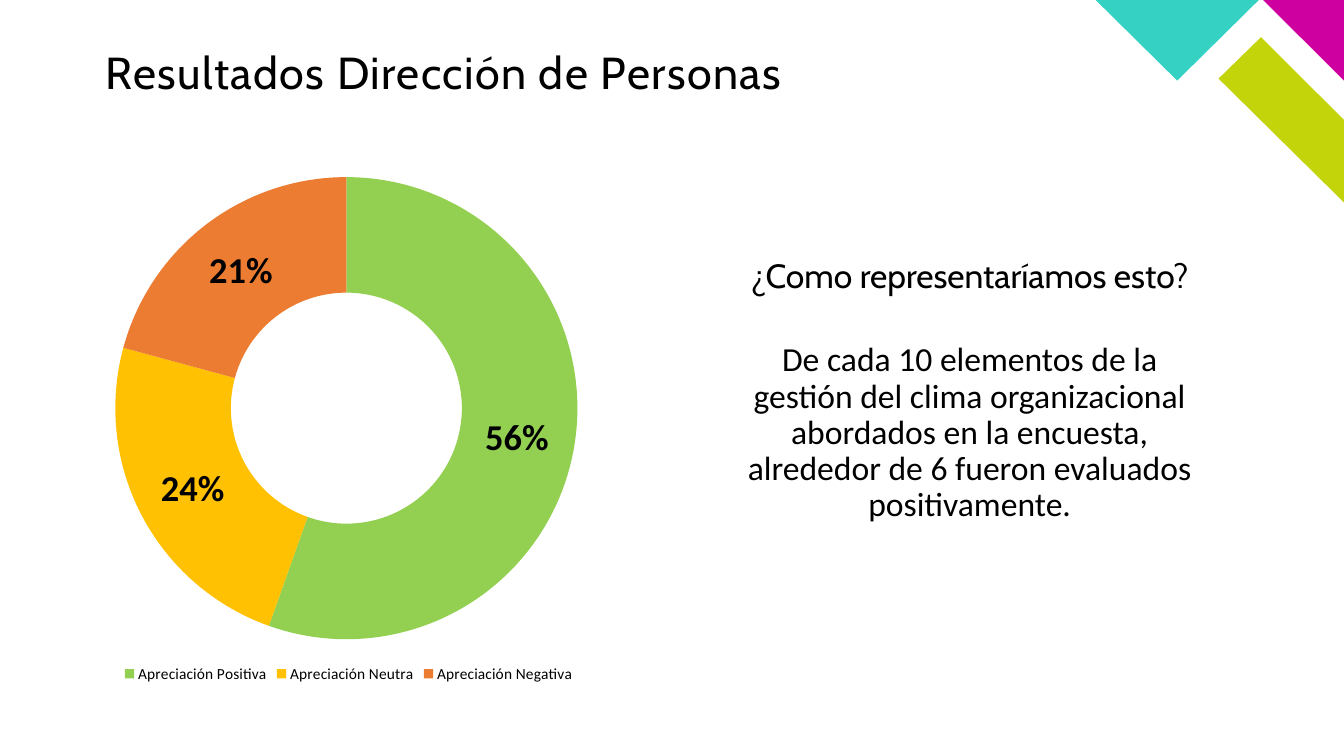
from pptx import Presentation
from pptx.chart.data import CategoryChartData
from pptx.dml.color import RGBColor
from pptx.enum.chart import XL_CHART_TYPE as ChartType, XL_LEGEND_POSITION as LegendPosition
from pptx.enum.text import MSO_ANCHOR as Anchor, PP_ALIGN as Align
from pptx.util import Pt

COLORS = {
    "text": "000000",
    "lime": "C4D40A",
    "magenta": "CE009F",
    "teal": "35D2C4",
    "positive": "93D051",
    "neutral": "FFC101",
    "negative": "EC7C31",
}
RESULTS = [
    ("Apreciación Positiva", 0.56, "positive"),
    ("Apreciación Neutra", 0.24, "neutral"),
    ("Apreciación Negativa", 0.21, "negative"),
]


def color(name):
    return RGBColor.from_string(COLORS[name])


def style_font(font, size, bold=False, name="Calibri"):
    font.name, font.size, font.bold = name, Pt(size), bold
    font.color.rgb = color("text")


def add_text(slide, box, text, *, size=24, font="Calibri", align=Align.CENTER,
             anchor=Anchor.MIDDLE, inset=(7.2, 3.6), spacing=None):
    shape = slide.shapes.add_textbox(*map(Pt, box))
    frame = shape.text_frame
    frame.word_wrap = True
    frame.vertical_anchor = anchor
    frame.margin_left = frame.margin_right = Pt(inset[0])
    frame.margin_top = frame.margin_bottom = Pt(inset[1])
    paragraph = frame.paragraphs[0]
    paragraph.alignment = align
    paragraph.line_spacing = 0.9
    run = paragraph.add_run()
    run.text = text
    style_font(run.font, size, name=font)
    if spacing:
        run.font._element.set("spc", str(spacing * 100))


def add_corner(slide, box):
    left, top, width, height = box
    pieces = {
        "lime": [(width, height), (width, 85.7), (118.1, 26.6), (87.8, 56.2)],
        "magenta": [(width, 57.6), (width, 0), (119.6, 0)],
        "teal": [(0, 0), (58.3, 57.6), (116.6, 0)],
    }
    for name, corners in pieces.items():
        points = [(Pt(left + x), Pt(top + y)) for x, y in corners]
        builder = slide.shapes.build_freeform(*points[0])
        builder.add_line_segments(points[1:], close=True)
        piece = builder.convert_to_shape()
        piece.shadow.inherit = False
        piece.fill.solid()
        piece.fill.fore_color.rgb = color(name)
        piece.line.fill.background()


def add_results_chart(slide, box):
    data = CategoryChartData(number_format="0%")
    data.categories = [category for category, _, _ in RESULTS]
    data.add_series("Series 1", [value for _, value, _ in RESULTS])
    chart = slide.shapes.add_chart(ChartType.DOUGHNUT, *map(Pt, box), data).chart
    chart.has_title = False
    style_font(chart.font, 18)

    # Legend
    chart.has_legend = True
    chart.legend.position = LegendPosition.BOTTOM
    chart.legend.include_in_layout = False
    style_font(chart.legend.font, 11)

    # Ring and its labels
    plot = chart.plots[0]
    plot.vary_by_categories = True
    plot.has_data_labels = True
    labels = plot.data_labels
    labels.show_value = True
    labels.show_percentage = False
    labels.number_format = "0%"
    labels.number_format_is_linked = False
    style_font(labels.font, 26, bold=True)
    for index, (_, _, name) in enumerate(RESULTS):
        point = plot.series[0].points[index]
        point.format.fill.solid()
        point.format.fill.fore_color.rgb = color(name)
        point.format.line.fill.background()


def add_message(slide, box):
    left, top, width, height = box
    add_text(slide, (left, top, width, 62.6), "¿Como representaríamos esto?", font="Cabin")
    add_text(slide, (left + 4.5, top + 54, width - 9, height - 54),
             "De cada 10 elementos de la gestión del clima organizacional abordados "
             "en la encuesta, alrededor de 6 fueron evaluados positivamente.")


def main():
    presentation = Presentation()
    presentation.slide_width, presentation.slide_height = Pt(960), Pt(540)
    slide = presentation.slides.add_slide(presentation.slide_layouts[6])
    add_corner(slide, (782.6, 0, 177.4, 144.7))
    add_text(slide, (75.6, 36, 720, 48.2), "Resultados Dirección de Personas",
             size=32, font="Cabin", align=Align.LEFT, anchor=Anchor.TOP,
             inset=(0, 0), spacing=1)
    add_message(slide, (512.6, 167, 360, 231.2))
    add_results_chart(slide, (61.9, 116.6, 374.4, 374.4))
    presentation.save("out.pptx")


if __name__ == "__main__":
    main()
